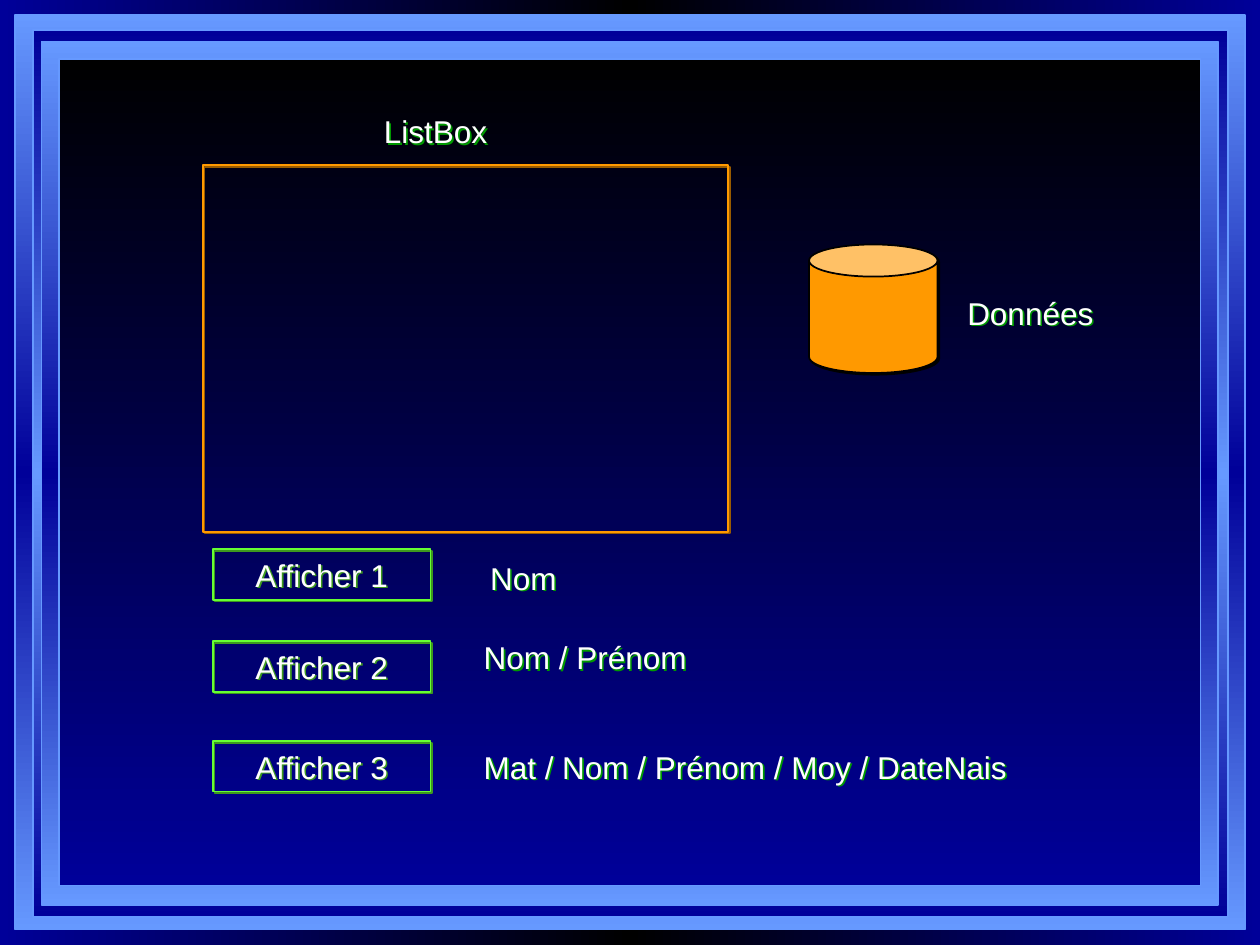
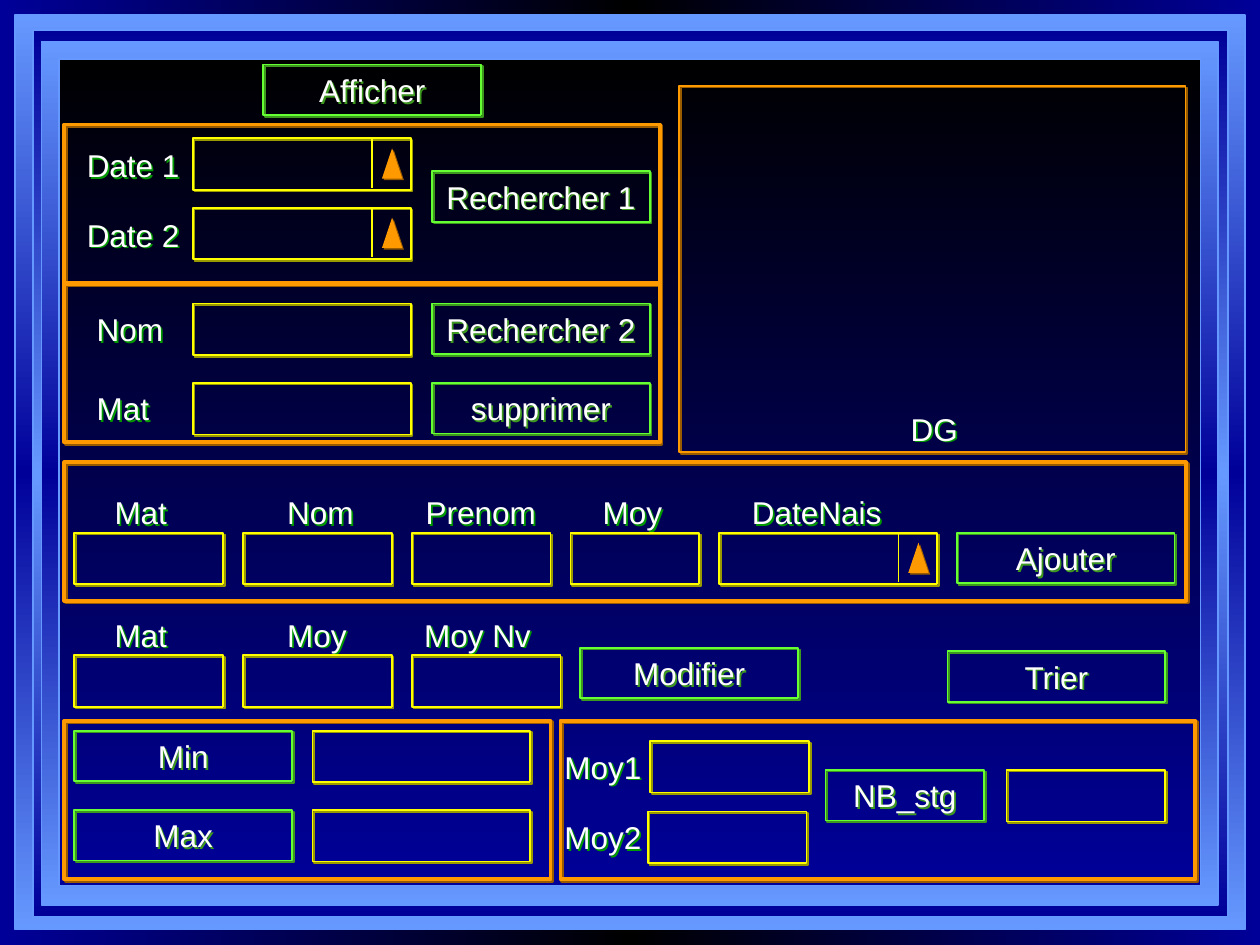
from lxml import etree
from pptx import Presentation
from pptx.dml.color import RGBColor
from pptx.enum import shapes as kinds, text as txt
from pptx.oxml import ns
from pptx.util import Cm, Pt

NAVY = RGBColor(0x00, 0x00, 0x99)
BLACK = RGBColor(0x00, 0x00, 0x00)
SKY = RGBColor(0x66, 0x99, 0xFF)
WHITE = RGBColor(0xFF, 0xFF, 0xFF)
ORANGE = RGBColor(0xFF, 0x99, 0x00)
GREEN = RGBColor(0x66, 0xFF, 0x33)
YELLOW = RGBColor(0xFF, 0xFF, 0x00)
TEXT_SHADOW = RGBColor(0x00, 0x99, 0x00)

FONT = "Arial"
BUTTON_W, BUTTON_H = 4.39, 1.02
FIELD_H = 1.04
GAP = 0.4
RECT = kinds.MSO_SHAPE.RECTANGLE


def sub(parent, tag, **attributes):
    return etree.SubElement(parent, ns.qn(tag), attributes)


def set_gradient(fill, owner, colors, angle):
    """Spread the colours evenly along the angle, clockwise in degrees."""
    fill.gradient()
    gradient = owner.xpath(".//a:gradFill")[0]
    stops = gradient.find(ns.qn("a:gsLst"))
    for stop in list(stops):
        stops.remove(stop)
    for i, color in enumerate(colors):
        stop = sub(stops, "a:gs", pos=str(100000 * i // (len(colors) - 1)))
        sub(stop, "a:srgbClr", val=str(color))
    gradient.find(ns.qn("a:lin")).set("ang", str(angle * 60000))


def darker(color):
    return RGBColor(*(int(part * 0.6) for part in color))


def add_effects(shape, shadow=None):
    effects = sub(shape.element.spPr, "a:effectLst")
    if shadow is not None:
        outer = sub(effects, "a:outerShdw", dist=str(Pt(1.4)), dir="2700000",
                    algn="ctr", rotWithShape="0")
        sub(outer, "a:srgbClr", val=str(shadow))


def write(shape, content, *, color=WHITE, size=18, align=txt.PP_ALIGN.LEFT,
          right=0.0):
    frame = shape.text_frame
    frame.word_wrap = True
    frame.vertical_anchor = txt.MSO_ANCHOR.TOP
    frame.margin_left, frame.margin_right = Cm(0.25), Cm(right)
    frame.margin_top = frame.margin_bottom = Cm(0.13)
    paragraph = frame.paragraphs[0]
    paragraph.alignment = align
    run = paragraph.add_run()
    run.text = content
    run.font.name, run.font.size = FONT, Pt(size)
    run.font.color.rgb = color


def add_shape(parent, kind, x, y, w, h, *, line=None, weight=1, fill=None,
              shadow=None):
    shape = parent.shapes.add_shape(kind, Cm(x), Cm(y), Cm(w), Cm(h))
    if fill is None:
        shape.fill.background()
    else:
        shape.fill.solid()
        shape.fill.fore_color.rgb = fill
    if line is None:
        shape.line.fill.background()
    else:
        shape.line.color.rgb = line
        shape.line.width = Pt(weight)
    add_effects(shape, shadow)
    return shape


def outline(parent, x, y, w, h, color, weight=1):
    return add_shape(parent, RECT, x, y, w, h, line=color, weight=weight,
                     shadow=darker(color))


def panel(slide, x, y, w, h):
    outline(slide, x, y, w, h, ORANGE, 2.25)


def field(parent, x, y, w=BUTTON_W):
    outline(parent, x, y, w, FIELD_H, YELLOW)


def button(slide, x, y, caption, w=BUTTON_W):
    write(outline(slide, x, y, w, BUTTON_H, GREEN), caption,
          align=txt.PP_ALIGN.CENTER, right=0.25)


def label(slide, x, y, content, w=3.6):
    box = slide.shapes.add_textbox(Cm(x), Cm(y), Cm(w), Cm(BUTTON_H))
    add_effects(box, TEXT_SHADOW)
    write(box, content)


def date_picker(slide, x, y):
    group = slide.shapes.add_group_shape()
    field(group, x, y)
    divider = group.shapes.add_connector(
        kinds.MSO_CONNECTOR.STRAIGHT,
        Cm(x + 3.61), Cm(y), Cm(x + 3.61), Cm(y + 1))
    divider.line.color.rgb = YELLOW
    divider.line.width = Pt(1)
    add_effects(divider)
    add_shape(group, kinds.MSO_SHAPE.ISOSCELES_TRIANGLE, x + 3.81, y + 0.2,
              0.41, 0.61, fill=ORANGE, shadow=darker(ORANGE))


def field_row(slide, x, y, columns):
    """Place captioned fields side by side; return the x after the last."""
    for caption, w, indent, draw in columns:
        label(slide, x + indent, y - 0.93, caption)
        draw(slide, x, y)if draw is date_picker else draw(slide, x, y, w)
        x += w + GAP
    return x


def decorate_master(master, slide):
    """Draw the nested frames and move them behind the master's content."""
    set_gradient(master.background.fill, master.element,
                 (NAVY, BLACK, NAVY), 0)
    frames = (
        ((0.3, 0.3, 24.8, 18.44), (SKY, NAVY, SKY)),
        ((0.66, 0.61, 24.1, 17.88), (NAVY, SKY, NAVY)),
        ((0.84, 0.84, 23.72, 17.4), (SKY, NAVY, SKY)),
        ((1.19, 1.19, 23.01, 16.66), (BLACK, NAVY)),
    )
    for i, (box, colors) in enumerate(frames):
        frame = add_shape(slide, RECT, *box, line=SKY)
        set_gradient(frame.fill, frame.element, colors, 90)
        frame.element.xpath(".//p:cNvPr")[0].set("id", str(100 + i))
        master.shapes.element.insert(2 + i, frame.element)


def list_box(slide, x, y, w, h, caption, caption_x, caption_y):
    outline(slide, x, y, w, h, ORANGE)
    label(slide, x + caption_x, y + caption_y, caption)


def database(slide, x, y, size):
    add_shape(slide, kinds.MSO_SHAPE.CAN, x, y, size, size, line=BLACK,
              fill=ORANGE, shadow=BLACK)
    label(slide, x + size + 0.35, y + 0.86, "Données")


def display_choices(slide, x, y):
    rows = (
        ("Afficher 1", 0, 5.34, 0.06, "Nom"),
        ("Afficher 2", 1.86, 5.21, -0.2, "Nom / Prénom"),
        ("Afficher 3", 3.87, 5.21, 0, "Mat / Nom / Prénom / Moy / DateNais"),
    )
    for caption, top, indent, shift, columns in rows:
        button(slide, x, y + top, caption)
        label(slide, x + indent, y + top + shift, columns, w=12)


def date_search(slide, x, y, w, h):
    for i in range(2):
        top = y + 0.28 + 1.4 * i
        label(slide, x + 0.2, top + 0.03, f"Date {i + 1}")
        date_picker(slide, x + 2.59, top)
    button(slide, x + 7.41, y + 0.94, "Rechercher 1")
    panel(slide, x, y, w, h)


def name_search(slide, x, y, w, h):
    for i, (name, action) in enumerate((("Nom", "Rechercher 2"),
                                        ("Mat", "supprimer"))):
        top = y + 0.4 + 1.6 * i
        label(slide, x + 0.4, top, name)
        field(slide, x + 2.59, top)
        button(slide, x + 7.41, top, action)
    panel(slide, x, y, w, h)


def add_trainee(slide, x, y, w, h):
    panel(slide, x, y, w, h)
    top = y + 1.42
    end = field_row(slide, x + 0.2, top, (
        ("Mat", 3, 0.56, field),
        ("Nom", 3, 0.64, field),
        ("Prenom", 2.8, 0.03, field),
        ("Moy", 2.6, 0.4, field),
        ("DateNais", BUTTON_W, 0.41, date_picker),
    ))
    button(slide, end, top, "Ajouter")


def modify_trainee(slide, x, y):
    end = field_row(slide, x, y, (
        ("Mat", 3, 0.56, field),
        ("Moy", 3, 0.64, field),
        ("Moy Nv", 3, 0, field),
    ))
    button(slide, end, y - 0.15, "Modifier")
    button(slide, x + 17.6, y - 0.08, "Trier")


def extremes(slide, x, y, w, h):
    for i, caption in enumerate(("Min", "Max")):
        top = y + 0.2 + 1.6 * i
        button(slide, x + 0.2, top, caption)
        field(slide, x + 5, top)
    panel(slide, x, y, w, h)


def count_between(slide, x, y, w, h):
    for i, indent in enumerate((1.81, 1.76)):
        top = y + 0.41 + 1.42 * i
        label(slide, x - 0.17, top, f"Moy{i + 1}")
        field(slide, x + indent, top, 3.2)
    button(slide, x + 5.34, y + 0.99, "NB_stg", 3.2)
    field(slide, x + 8.99, y + 0.99, 3.2)
    panel(slide, x, y, w, h)


def list_slide(slide):
    list_box(slide, 4.09, 3.33, 10.59, 7.39, "ListBox", 3.4, -1.2)
    display_choices(slide, 4.29, 11.07)
    database(slide, 16.31, 4.93, 2.59)


def form_slide(slide):
    button(slide, 5.31, 1.3, "Afficher")
    date_search(slide, 1.3, 2.51, 12, 3.2)
    name_search(slide, 1.3, 5.72, 12, 3.2)
    list_box(slide, 13.69, 1.73, 10.21, 7.39, "DG", 4.42, 6.4)
    add_trainee(slide, 1.3, 9.32, 22.61, 2.79)
    modify_trainee(slide, 1.5, 13.21)
    extremes(slide, 1.3, 14.53, 9.8, 3.2)
    count_between(slide, 11.3, 14.53, 12.8, 3.2)


def main():
    prs = Presentation()
    prs.slide_width, prs.slide_height = Cm(25.4), Cm(19.05)
    blank = prs.slide_layouts[6]
    first, second = (prs.slides.add_slide(blank) for _ in range(2))
    decorate_master(prs.slide_master, first)
    list_slide(first)
    form_slide(second)
    prs.save("out.pptx")


if __name__ == "__main__":
    main()
